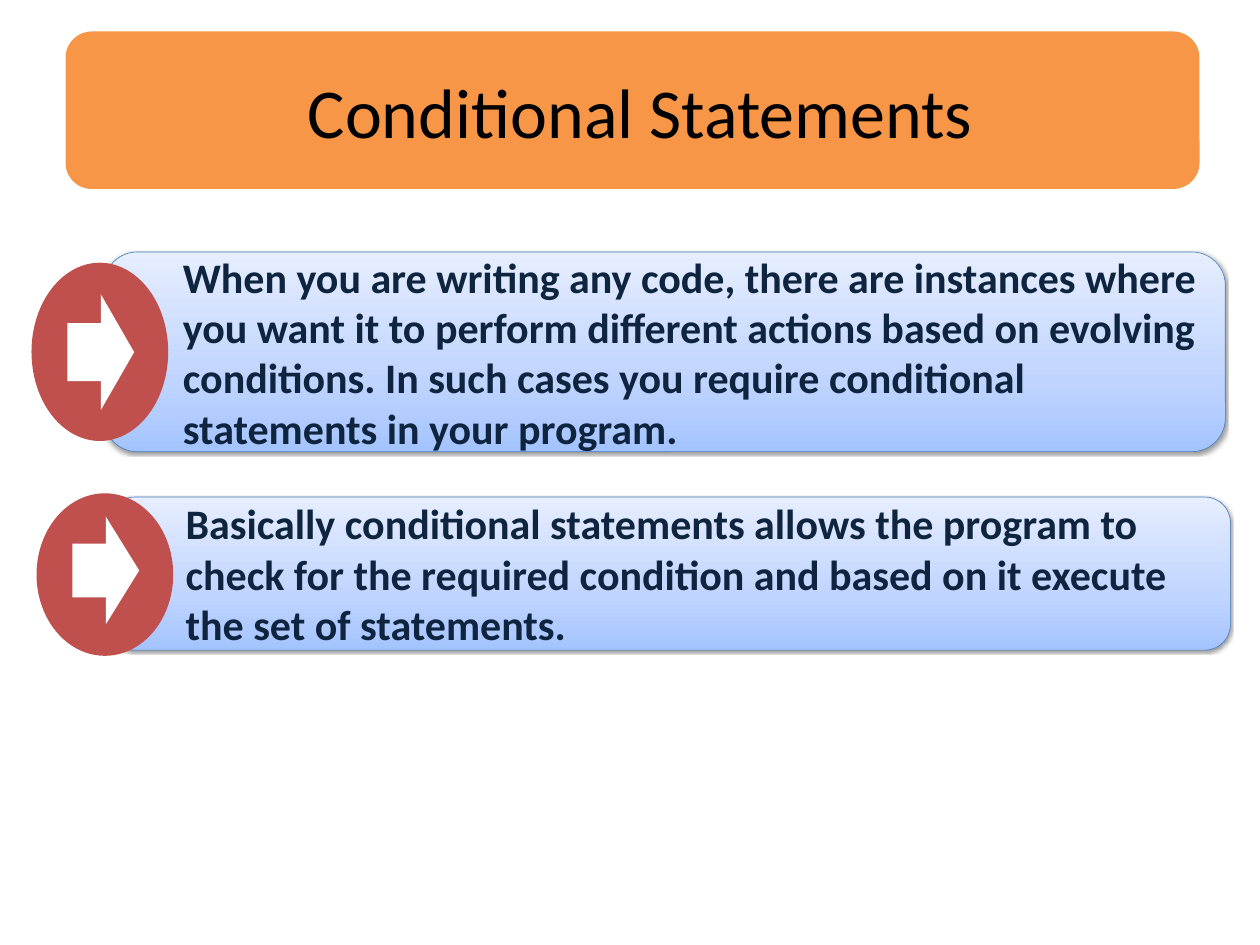
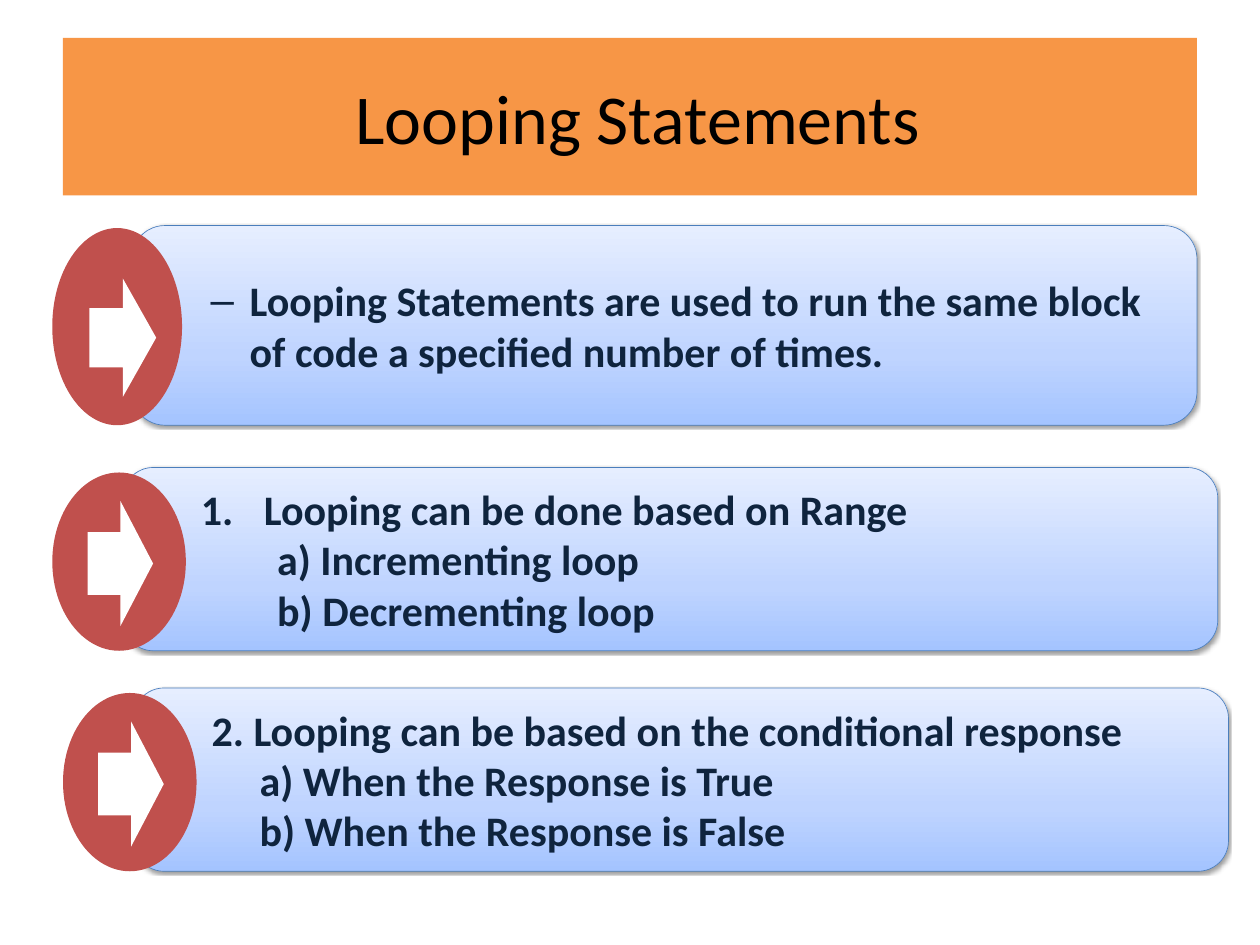
import pptx
import pptx.util
import pptx.oxml
import pptx.oxml.ns
import pptx.dml.color
import pptx.enum.shapes
import pptx.enum.text

Inches, Pt = pptx.util.Inches, pptx.util.Pt
RGBColor = pptx.dml.color.RGBColor
SHAPE = pptx.enum.shapes.MSO_SHAPE
ALIGN = pptx.enum.text.PP_ALIGN

ORANGE = RGBColor(0xF7, 0x96, 0x46)
RED = RGBColor(0xC0, 0x50, 0x4D)
WHITE = RGBColor(0xFF, 0xFF, 0xFF)
BLACK = RGBColor(0, 0, 0)
NAVY = RGBColor(0x0F, 0x24, 0x3E)
EDGE = RGBColor(0x4B, 0x7E, 0xBC)
PANEL_STOPS = [
    (0, RGBColor(0xA4, 0xC4, 0xFF)),
    (35, RGBColor(0xBF, 0xD4, 0xFF)),
    (100, RGBColor(0xE6, 0xEE, 0xFF)),
]
FONT = "Calibri"
NS = pptx.oxml.ns.nsdecls("a")

DASH = '<a:buFont %s typeface="Arial"/>', '<a:buChar %s char="–"/>'
NUMBER = '<a:buFont %s typeface="+mj-lt"/>', '<a:buAutoNum %s type="arabicPeriod"/>'
PLAIN = ('<a:buNone %s/>',)


def add_flat(shapes, kind, box, color):
    sp = shapes.add_shape(kind, *map(Inches, box))
    sp.shadow.inherit = False
    sp.fill.solid()
    sp.fill.fore_color.rgb = color
    sp.line.fill.background()
    return sp


def set_font(p, size, color, bold=False):
    p.font.name = FONT
    p.font.size = Pt(size)
    p.font.bold = bold
    p.font.color.rgb = color


def add_banner(slide, kind, box, text):
    sp = add_flat(slide.shapes, kind, box, ORANGE)
    tf = sp.text_frame
    tf.margin_left, tf.margin_right = Inches(0.45), Inches(0.2)
    tf.margin_top = tf.margin_bottom = Inches(0.1)
    p = tf.paragraphs[0]
    p.text = text
    p.alignment = ALIGN.CENTER
    set_font(p, 80, BLACK)


def set_indent(p, left, hanging, bullet):
    pPr = p._p.get_or_add_pPr()
    pPr.set("marL", str(Inches(left)))
    pPr.set("indent", str(Inches(-hanging)))
    for i, xml in enumerate(bullet):
        pPr.insert(i, pptx.oxml.parse_xml(xml % NS))


def add_panel(shapes, box, lines):
    sp = shapes.add_shape(SHAPE.ROUNDED_RECTANGLE, *map(Inches, box))
    sp.line.color.rgb = EDGE
    sp.line.width = Pt(0.75)
    stops = "".join(
        f'<a:gs pos="{pos * 1000}"><a:srgbClr val="{color}"/></a:gs>'
        for pos, color in PANEL_STOPS)
    spPr = sp._element.spPr
    spPr.insert(2, pptx.oxml.parse_xml(
        f'<a:gradFill {NS} rotWithShape="1"><a:gsLst>{stops}</a:gsLst>'
        '<a:lin ang="16200000" scaled="0"/></a:gradFill>'))
    sp.shadow.inherit = False
    spPr.find(pptx.oxml.ns.qn("a:effectLst")).append(pptx.oxml.parse_xml(
        f'<a:outerShdw {NS} blurRad="{Pt(3.1)}" dist="{Pt(1.6)}" dir="5400000" '
        f'rotWithShape="0"><a:srgbClr val="{BLACK}"><a:alpha val="38000"/>'
        '</a:srgbClr></a:outerShdw>'))
    tf = sp.text_frame
    tf.word_wrap = True
    for i, (text, left, hanging, bullet) in enumerate(lines):
        p = tf.add_paragraph() if i else tf.paragraphs[0]
        p.text = text
        p.alignment = ALIGN.LEFT
        set_font(p, 48, NAVY, True)
        set_indent(p, left, hanging, bullet)


def add_callout(slide, box, badge, arrow, lines):
    shapes = slide.shapes.add_group_shape().shapes
    add_panel(shapes, box, lines)
    for kind, (dx, dy, w, h), color in (
            (SHAPE.OVAL, badge, RED), (SHAPE.RIGHT_ARROW, arrow, WHITE)):
        add_flat(shapes, kind, (box[0] + dx, box[1] + dy, w, h), color)


def add_conditional_slide(prs):
    slide = prs.slides.add_slide(prs.slide_layouts[6])
    add_callout(slide, (1.65, 4, 17.8, 3.17),
                (-1.15, 0.17, 2.17, 2.83), (-0.58, 0.67, 1.06, 1.84),
                [("When you are writing any code, there are instances where you "
                  "want it to perform different actions based on evolving "
                  "conditions. In such cases you require conditional statements "
                  "in your program.", 1, 0, PLAIN)])
    add_callout(slide, (1.73, 7.89, 17.8, 2.43),
                (-1.15, -0.06, 2.17, 2.58), (-0.58, 0.31, 1.06, 1.71),
                [("Basically conditional statements allows the program to check "
                  "for the required condition and based on it execute the set "
                  "of statements.", 1, 0, PLAIN)])
    add_banner(slide, SHAPE.ROUNDED_RECTANGLE, (1.04, 0.5, 18, 2.5),
               "Conditional Statements")


def add_looping_slide(prs):
    slide = prs.slides.add_slide(prs.slide_layouts[6])
    add_callout(slide, (2.09, 3.58, 16.91, 3.17),
                (-1.26, 0.04, 2.06, 3.13), (-0.67, 0.84, 1.06, 1.88),
                [("Looping Statements are used to run the same block of code a "
                  "specified number of times.", 1.62, 0.62, DASH)])
    kinds_of_loop = [
        (1.95, 7.42, [("Looping can be done based on Range", 2, 1, NUMBER),
                      ("a) Incrementing loop", 2.21, 0, PLAIN),
                      ("b) Decrementing loop", 2.21, 0, PLAIN)]),
        (2.12, 10.92, [("2. Looping can be based on the conditional response",
                        1, 0, PLAIN),
                       ("a) When the Response is True", 1.76, 0, PLAIN),
                       ("b) When the Response is False", 1.76, 0, PLAIN)]),
    ]
    for x, y, lines in kinds_of_loop:
        add_callout(slide, (x, y, 17.38, 2.91), (-1.12, 0.08, 2.12, 2.83),
                    (-0.56, 0.53, 1.04, 1.99), lines)
    add_banner(slide, SHAPE.RECTANGLE, (1, 0.6, 18, 2.5), "Looping Statements")


prs = pptx.Presentation()
prs.slide_width, prs.slide_height = Inches(20), Inches(15)
add_conditional_slide(prs)
add_looping_slide(prs)
prs.save("out.pptx")
